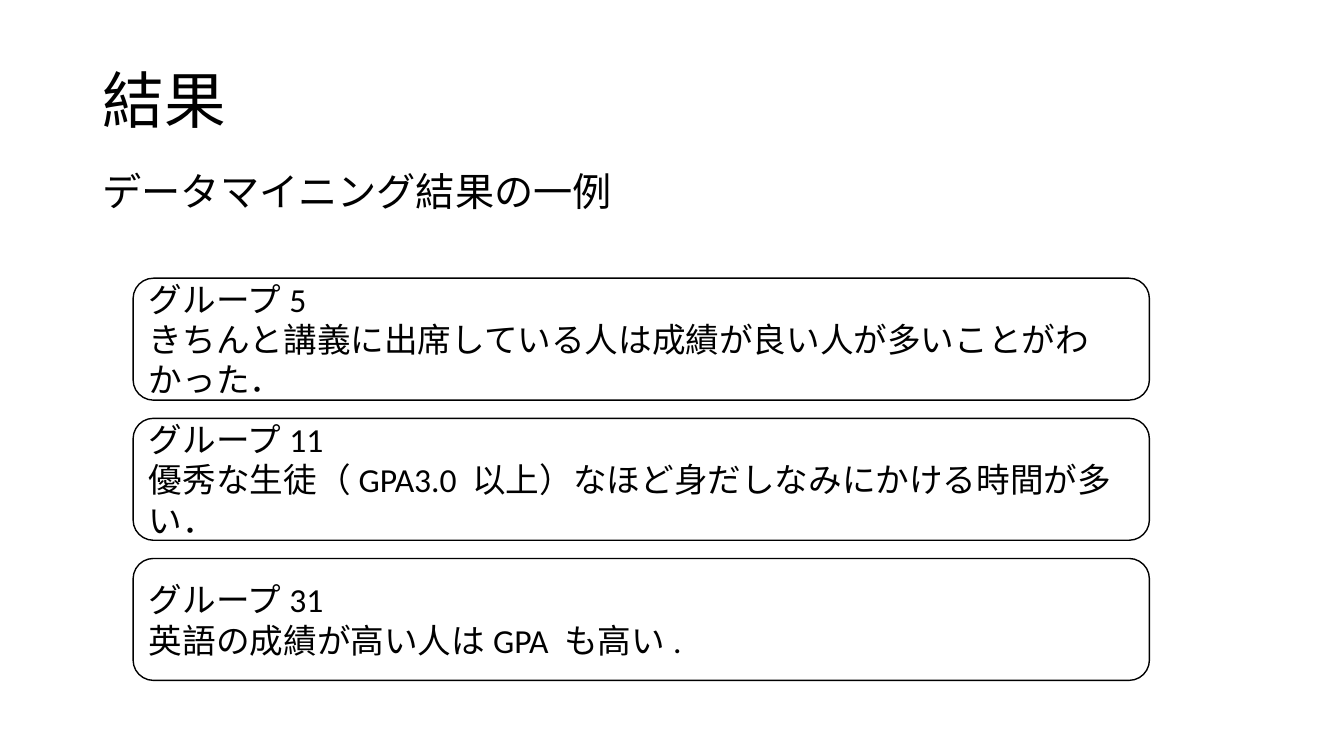
"""Build the slide showing example data mining results."""
from dataclasses import dataclass

from pptx import Presentation
from pptx.dml.color import RGBColor
from pptx.enum.shapes import MSO_SHAPE
from pptx.enum.text import MSO_ANCHOR, PP_ALIGN
from pptx.slide import Slide
from pptx.text.text import TextFrame
from pptx.util import Inches, Pt

COLORS = {"ink": "000000", "paper": "FFFFFF"}
FONT = "Calibri"


@dataclass(frozen=True)
class Heading:
    text: str
    top: float
    height: float
    size: int
    anchor: MSO_ANCHOR


@dataclass(frozen=True)
class Finding:
    group: str
    statement: str


HEADINGS = [
    Heading("結果", 0.4, 1.26, 44, MSO_ANCHOR.MIDDLE),
    Heading("データマイニング結果の一例", 1.66, 5.7, 28, MSO_ANCHOR.TOP),
]
FINDINGS = [
    Finding("グループ5", "きちんと講義に出席している人は成績が良い人が多いことがわかった．"),
    Finding("グループ11", "優秀な生徒（GPA3.0 以上）なほど身だしなみにかける時間が多い．"),
    Finding("グループ31", "英語の成績が高い人はGPA も高い."),
]
HEADING_LEFT, HEADING_WIDTH = 0.92, 11.5
FINDING_LEFT, FINDING_TOP = 1.32, 2.76
FINDING_WIDTH, FINDING_HEIGHT = 10.08, 1.21
FINDING_STEP = 1.39


def color(name: str) -> RGBColor:
    return RGBColor.from_string(COLORS[name])


def write(frame: TextFrame, lines: list[str], size: int,
          anchor: MSO_ANCHOR, spacing: float) -> None:
    frame.word_wrap = True
    frame.vertical_anchor = anchor
    for index, line in enumerate(lines):
        paragraph = frame.add_paragraph() if index else frame.paragraphs[0]
        paragraph.alignment = PP_ALIGN.LEFT
        paragraph.line_spacing = spacing
        run = paragraph.add_run()
        run.text = line
        run.font.name = FONT
        run.font.size = Pt(size)
        run.font.color.rgb = color("ink")


def draw_heading(slide: Slide, heading: Heading) -> None:
    box = slide.shapes.add_textbox(
        Inches(HEADING_LEFT), Inches(heading.top),
        Inches(HEADING_WIDTH), Inches(heading.height))
    write(box.text_frame, [heading.text], heading.size, heading.anchor, 0.9)


def draw_finding(slide: Slide, finding: Finding, row: int) -> None:
    card = slide.shapes.add_shape(
        MSO_SHAPE.ROUNDED_RECTANGLE,
        Inches(FINDING_LEFT), Inches(FINDING_TOP + row * FINDING_STEP),
        Inches(FINDING_WIDTH), Inches(FINDING_HEIGHT))
    card.shadow.inherit = False
    card.fill.solid()
    card.fill.fore_color.rgb = color("paper")
    card.line.color.rgb = color("ink")
    card.line.width = Pt(1)
    write(card.text_frame, [finding.group, finding.statement], 24,
          MSO_ANCHOR.MIDDLE, 1.0)


def main() -> None:
    deck = Presentation()
    deck.slide_width, deck.slide_height = Inches(13.33), Inches(7.5)
    slide = deck.slides.add_slide(deck.slide_layouts[6])
    for heading in HEADINGS:
        draw_heading(slide, heading)
    for row, finding in enumerate(FINDINGS):
        draw_finding(slide, finding, row)
    deck.save("out.pptx")


if __name__ == "__main__":
    main()
